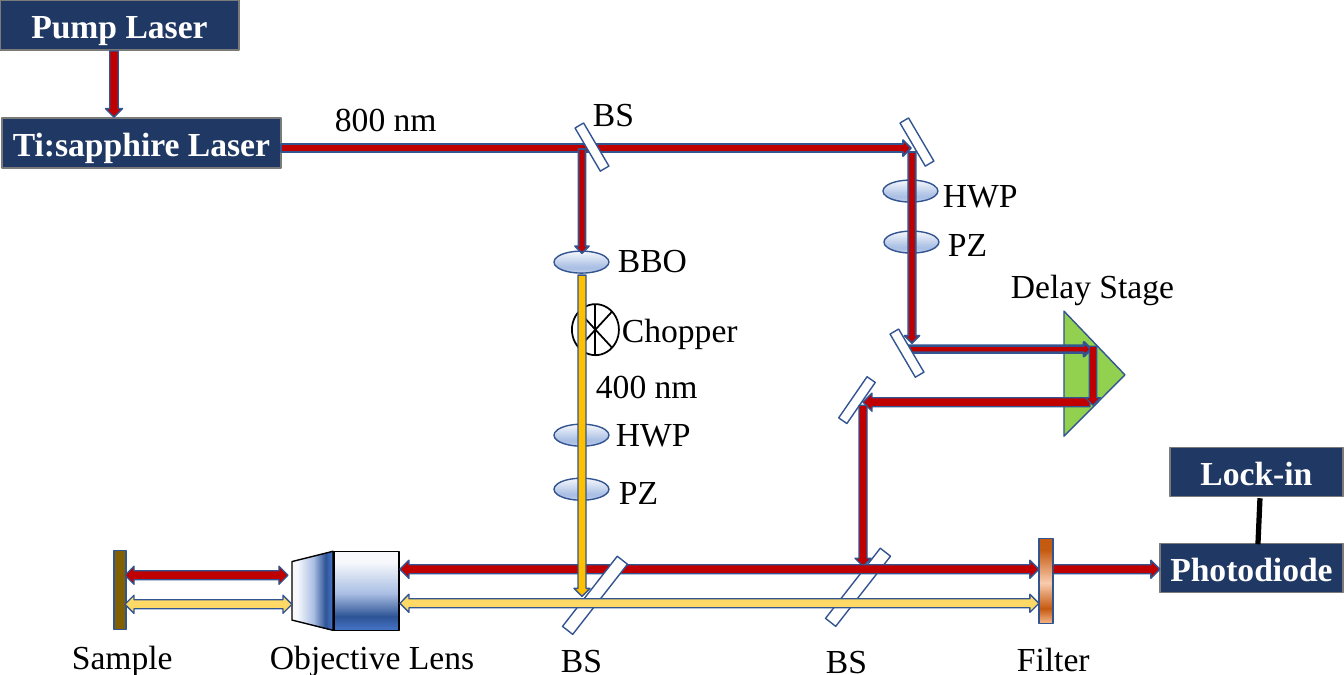
from math import atan2, degrees, hypot
from lxml.etree import SubElement as Sub
from pptx import Presentation
from pptx.dml.color import RGBColor as RGB
from pptx.enum.shapes import MSO_CONNECTOR as Link, MSO_SHAPE as Kind
from pptx.enum.text import MSO_ANCHOR as Anchor, MSO_AUTO_SIZE as Auto, PP_ALIGN as Align
from pptx.oxml.ns import qn
from pptx.util import Cm, Pt

SCALE = 914400 / 100.8
FONT = "Times New Roman"
BLACK = RGB(0, 0, 0)
WHITE = RGB(255, 255, 255)
NAVY = RGB(0x20, 0x38, 0x64)
GRAY = RGB(0x7A, 0x7A, 0x7A)
EDGE = RGB(0x32, 0x54, 0x91)
RED = RGB(0xC0, 0, 0)
AMBER = RGB(0xFF, 0xC0, 0)
GOLD = RGB(0xFF, 0xD9, 0x66)
GREEN = RGB(0x92, 0xD0, 0x50)
BROWN = RGB(0x80, 0x60, 0)
PALE = RGB(0xF6, 0xF8, 0xFC)
SKY = RGB(0xAB, 0xC0, 0xE4)
RUST = RGB(0xC5, 0x5A, 0x11)
GLASS = [(0, PALE), (74, SKY), (83, SKY), (100, RGB(0xC7, 0xD5, 0xED))]
STEEL = [(14, PALE), (53, SKY), (83, RGB(0x2F, 0x55, 0x97)),
         (100, RGB(0x44, 0x72, 0xC4))]
COPPER = [(14, RUST), (53, RGB(0xF8, 0xCB, 0xAD)), (83, RUST),
          (100, RGB(0xF4, 0xB1, 0x83))]


def px(*vals):
    return [round(val * SCALE) for val in vals]


def style(obj, **vals):
    for name, val in vals.items():
        setattr(obj, name, val)


def shade(fill, node, stops):
    fill.gradient()
    fill.gradient_angle = 270
    steps = node.spPr.find(qn("a:gradFill")).find(qn("a:gsLst"))
    for step in list(steps):
        steps.remove(step)
    for pos, tone in stops:
        step = Sub(steps, qn("a:gs"), pos=str(pos * 1000))
        Sub(step, qn("a:srgbClr"), val=str(tone))


def part(slide, kind, box, fill, edge=EDGE, width=1, turn=0):
    shape = slide.shapes.add_shape(kind, *px(*box))
    shape.shadow.inherit = False
    shape.rotation = turn
    if fill is None:
        shape.fill.background()
    elif isinstance(fill, list):
        shade(shape.fill, shape.element, fill)
    else:
        shape.fill.solid()
        shape.fill.fore_color.rgb = fill
    shape.line.color.rgb = edge
    shape.line.width = Pt(width)
    return shape


def write(frame, text, tone, bold, align):
    style(frame, word_wrap=True, text=text)
    para = frame.paragraphs[0]
    para.alignment = align
    font = para.runs[0].font
    style(font, name=FONT, size=Pt(24), bold=bold)
    font.color.rgb = tone


def label(slide, text, left, top, width):
    frame = slide.shapes.add_textbox(*px(left, top, width, 50)).text_frame
    write(frame, text, BLACK, False, Align.LEFT)
    frame.auto_size = Auto.SHAPE_TO_FIT_TEXT


def device(slide, text, *box):
    frame = part(slide, Kind.RECTANGLE, box, NAVY, GRAY).text_frame
    write(frame, text, WHITE, True, Align.CENTER)
    style(frame, margin_left=0, margin_right=0, vertical_anchor=Anchor.MIDDLE)


def lens(slide, left, top):
    part(slide, Kind.OVAL, (left, top, 55, 22), GLASS)


def plate(slide, x, y, turn, wide=10, high=50):
    part(slide, Kind.RECTANGLE, (x - wide / 2, y - high / 2, wide, high),
         WHITE, turn=turn)


def beam(slide, start, end, thick, fill=RED, width=1, kind=Kind.RIGHT_ARROW):
    (x1, y1), (x2, y2) = start, end
    size = hypot(x2 - x1, y2 - y1)
    box = ((x1 + x2 - size) / 2, (y1 + y2 - thick) / 2, size, thick)
    part(slide, kind, box, fill, width=width,
         turn=degrees(atan2(y2 - y1, x2 - x1)))


def probe(slide, left, right, y, fill):
    beam(slide, (left, y), (right, y), 18, fill, kind=Kind.LEFT_RIGHT_ARROW)


def wire(slide, start, end, width):
    line = slide.shapes.add_connector(Link.STRAIGHT, *px(*start, *end))
    line.line.color.rgb = BLACK
    line.line.width = Pt(width)
    Sub(line.element.spPr, qn("a:effectLst"))


def main():
    deck = Presentation()
    style(deck, slide_width=px(1344)[0], slide_height=Cm(17))
    slide = deck.slides.add_slide(deck.slide_layouts[6])

    part(slide, Kind.FLOWCHART_SUMMING_JUNCTION, (572, 304, 47, 51),
         None, BLACK, 1.25)
    wire(slide, (595, 304), (595, 355), 1.25)
    for spot in [(884, 231), (883, 180), (554, 478), (554, 424), (554, 251)]:
        lens(slide, *spot)
    stage = part(slide, Kind.ISOSCELES_TRIANGLE, (1032, 343, 125, 61),
                 GREEN, turn=90)
    stage.adjustments[0] = 0.51

    device(slide, "Pump Laser", 0, 0, 239, 50)
    device(slide, "Ti:sapphire Laser", 2, 118, 279, 50)
    beam(slide, (281, 148), (911, 148), 16, width=1.25)
    plate(slide, 917, 142, -30.4)
    plate(slide, 857, 400, 34.6)
    part(slide, Kind.RECTANGLE, (1039, 538, 14, 85), COPPER)
    device(slide, "Photodiode", 1160, 543, 183, 49)
    wire(slide, (1260, 498), (1258, 544), 3.75)
    device(slide, "Lock-in", 1170, 447, 173, 49)
    plate(slide, 858, 587, 38, 13, 89)
    part(slide, Kind.TRAPEZOID, (273, 570, 79, 41), STEEL, BLACK, turn=270)
    part(slide, Kind.RECTANGLE, (334, 551, 65, 79), STEEL, BLACK)
    part(slide, Kind.RECTANGLE, (114, 550, 12, 79), BROWN)

    for text, left, top, width in [
        ("BS", 583, 88, 87), ("BS", 551, 634, 93), ("BS", 816, 635, 93),
        ("Filter", 1007, 633, 127), ("Sample", 62, 631, 131),
        ("Objective Lens", 260, 631, 238), ("400 nm", 586, 360, 139),
        ("800 nm", 325, 93, 139), ("Delay Stage", 1001, 260, 313),
        ("BBO", 608, 234, 139), ("HWP", 606, 408, 119),
        ("PZ", 609, 466, 89), ("HWP", 933, 169, 138),
        ("PZ", 938, 218, 87), ("Chopper", 612, 304, 153),
    ]:
        label(slide, text, left, top, width)

    beam(slide, (912, 152), (912, 343), 15, width=1.25)
    plate(slide, 592, 147, -30.4)
    beam(slide, (908, 349), (1091, 349), 14, width=1.75)
    beam(slide, (1090, 402), (863, 402), 18)
    beam(slide, (1093, 346), (1093, 405), 15)
    beam(slide, (863, 405), (863, 566), 16)
    probe(slide, 400, 1039, 569, RED)
    plate(slide, 595, 595, 38, 13, 89)
    probe(slide, 400, 1039, 603, GOLD)
    probe(slide, 125, 288, 575, RED)
    probe(slide, 125, 292, 604, GOLD)
    beam(slide, (1053, 569), (1160, 569), 18)
    beam(slide, (582, 149), (582, 253), 14, width=1.25)
    beam(slide, (582, 275), (582, 596), 16, AMBER)
    plate(slide, 907, 353, -30.4)
    beam(slide, (114, 51), (114, 117), 17)
    deck.save("out.pptx")


main()
